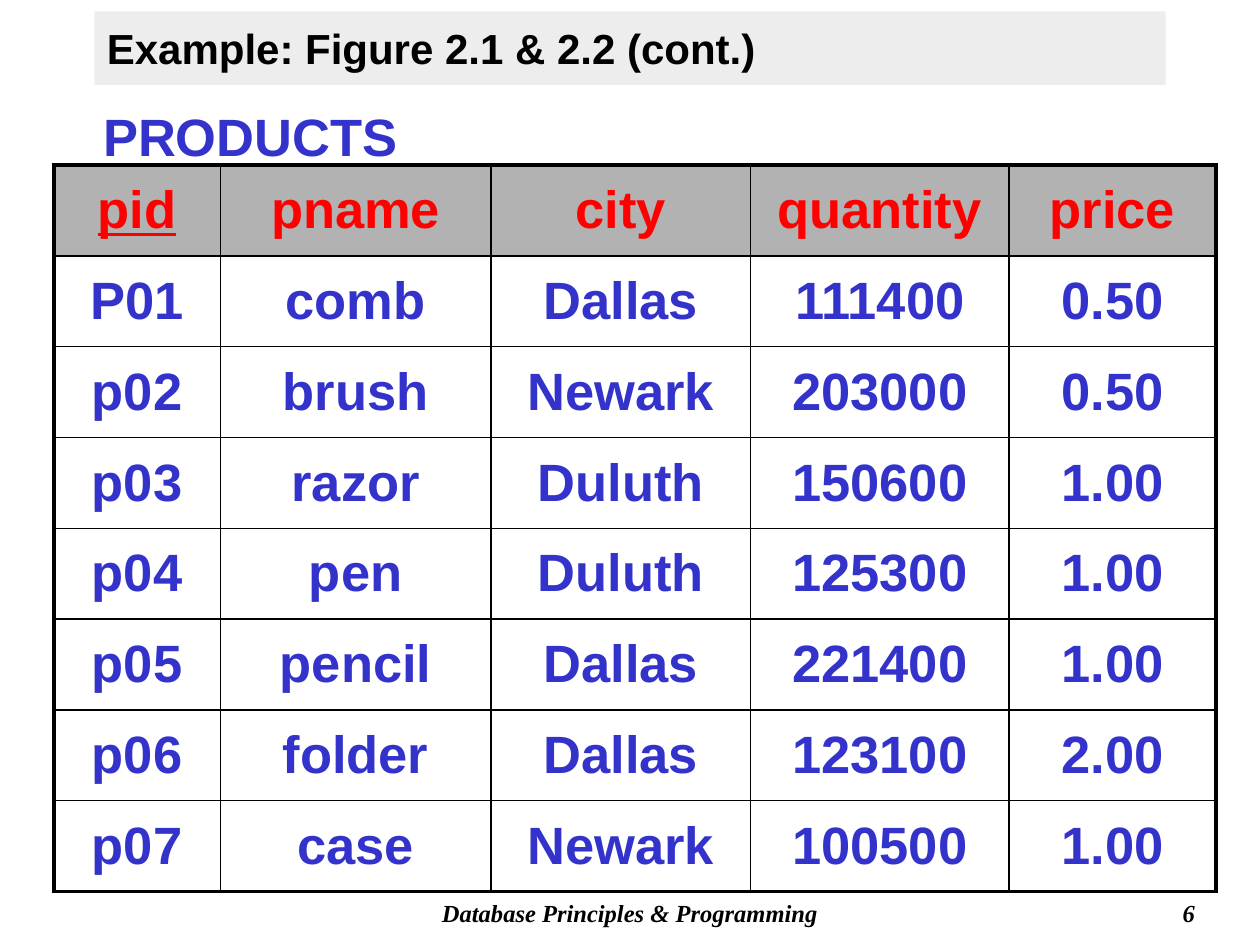
from lxml.etree import SubElement
from pptx import Presentation
from pptx.dml.color import RGBColor
from pptx.enum.text import MSO_ANCHOR, PP_ALIGN
from pptx.oxml.ns import qn
from pptx.util import Cm, Pt

TITLE = "Example: Figure 2.1 & 2.2 (cont.)"
TABLE_NAME = "PRODUCTS"
FOOTER = "Database Principles & Programming"
PAGE_NUMBER = "6"
PRODUCTS = [
    ("pid", "pname", "city", "quantity", "price"),
    ("P01", "comb", "Dallas", "111400", "0.50"),
    ("p02", "brush", "Newark", "203000", "0.50"),
    ("p03", "razor", "Duluth", "150600", "1.00"),
    ("p04", "pen", "Duluth", "125300", "1.00"),
    ("p05", "pencil", "Dallas", "221400", "1.00"),
    ("p06", "folder", "Dallas", "123100", "2.00"),
    ("p07", "case", "Newark", "100500", "1.00"),
]
COLUMN_WIDTHS = (3.35, 5.46, 5.23, 5.21, 4.17)
ROW_HEIGHT = 1.83

THEME = {
    "sans": "Arial",
    "serif": "Times New Roman",
    "black": "000000",
    "blue": "3333CC",
    "red": "FF0000",
    "band": "DDDDDD",
    "header": "B2B2B2",
    "title_size": 24,
    "table_size": 30,
    "footer_size": 14,
    "outer_line": 2.25,
    "inner_line": 1,
}


def write(frame, text, size, color, font="sans", align=PP_ALIGN.LEFT, italic=False):
    frame.text = text
    para = frame.paragraphs[0]
    para.alignment = align
    span = para.runs[0]
    span.font.name = THEME[font]
    span.font.size = Pt(THEME[size])
    span.font.bold = True
    span.font.italic = italic
    span.font.color.rgb = RGBColor.from_string(THEME[color])
    return span


def add_label(page, place, text, *style, **options):
    box = page.shapes.add_textbox(*map(Cm, place))
    box.text_frame.word_wrap = True
    write(box.text_frame, text, *style, **options)


def add_title(page):
    title = page.shapes.title
    title.left, title.top, title.width, title.height = map(Cm, (1.9, 0.23, 21.6, 1.48))
    title.fill.solid()
    title.fill.fore_color.rgb = RGBColor.from_string(THEME["band"])
    color = title.fill._xPr.find(qn("a:solidFill"))[0]
    SubElement(color, qn("a:alpha"), val="50000")
    write(title.text_frame, TITLE, "title_size", "black")
    title.text_frame.vertical_anchor = MSO_ANCHOR.MIDDLE


def draw_borders(cell, outer_sides):
    properties = cell._tc.get_or_add_tcPr()
    for side, is_outer in outer_sides.items():
        width = Pt(THEME["outer_line" if is_outer else "inner_line"])
        line = SubElement(properties, qn(f"a:ln{side}"), w=str(int(width)))
        fill = SubElement(line, qn("a:solidFill"))
        SubElement(fill, qn("a:srgbClr"), val=THEME["black"])


def add_products(page):
    row_count, column_count = len(PRODUCTS), len(COLUMN_WIDTHS)
    table = page.shapes.add_table(
        row_count, column_count, Cm(1.09), Cm(3.33),
        Cm(sum(COLUMN_WIDTHS)), Cm(ROW_HEIGHT * row_count),
    ).table
    table.horz_banding = False
    for column, width in zip(table.columns, COLUMN_WIDTHS):
        column.width = Cm(width)
    for r, values in enumerate(PRODUCTS):
        table.rows[r].height = Cm(ROW_HEIGHT)
        for c, value in enumerate(values):
            cell = table.cell(r, c)
            cell.vertical_anchor = MSO_ANCHOR.MIDDLE
            draw_borders(cell, {
                "L": c == 0,
                "R": c == column_count - 1,
                "T": r == 0,
                "B": r == row_count - 1,
            })
            if r == 0:
                cell.fill.solid()
                cell.fill.fore_color.rgb = RGBColor.from_string(THEME["header"])
            else:
                cell.fill.background()
            span = write(cell.text_frame, value, "table_size",
                         "blue" if r else "red", align=PP_ALIGN.CENTER)
            span.font.underline = r == 0 and c == 0


def main():
    deck = Presentation()
    deck.slide_width, deck.slide_height = Cm(25.4), Cm(19.05)
    page = deck.slides.add_slide(deck.slide_layouts.get_by_name("Title Only"))
    footer_style = ("footer_size", "black", "serif")
    add_label(page, (7.2, 17.98, 11, 0.85), FOOTER, *footer_style,
              align=PP_ALIGN.CENTER, italic=True)
    add_label(page, (19.05, 17.98, 5.29, 0.85), PAGE_NUMBER, *footer_style,
              align=PP_ALIGN.RIGHT, italic=True)
    add_title(page)
    add_products(page)
    add_label(page, (1.83, 1.98, 6.65, 1.52), TABLE_NAME, "table_size", "blue")
    deck.save("out.pptx")


if __name__ == "__main__":
    main()
